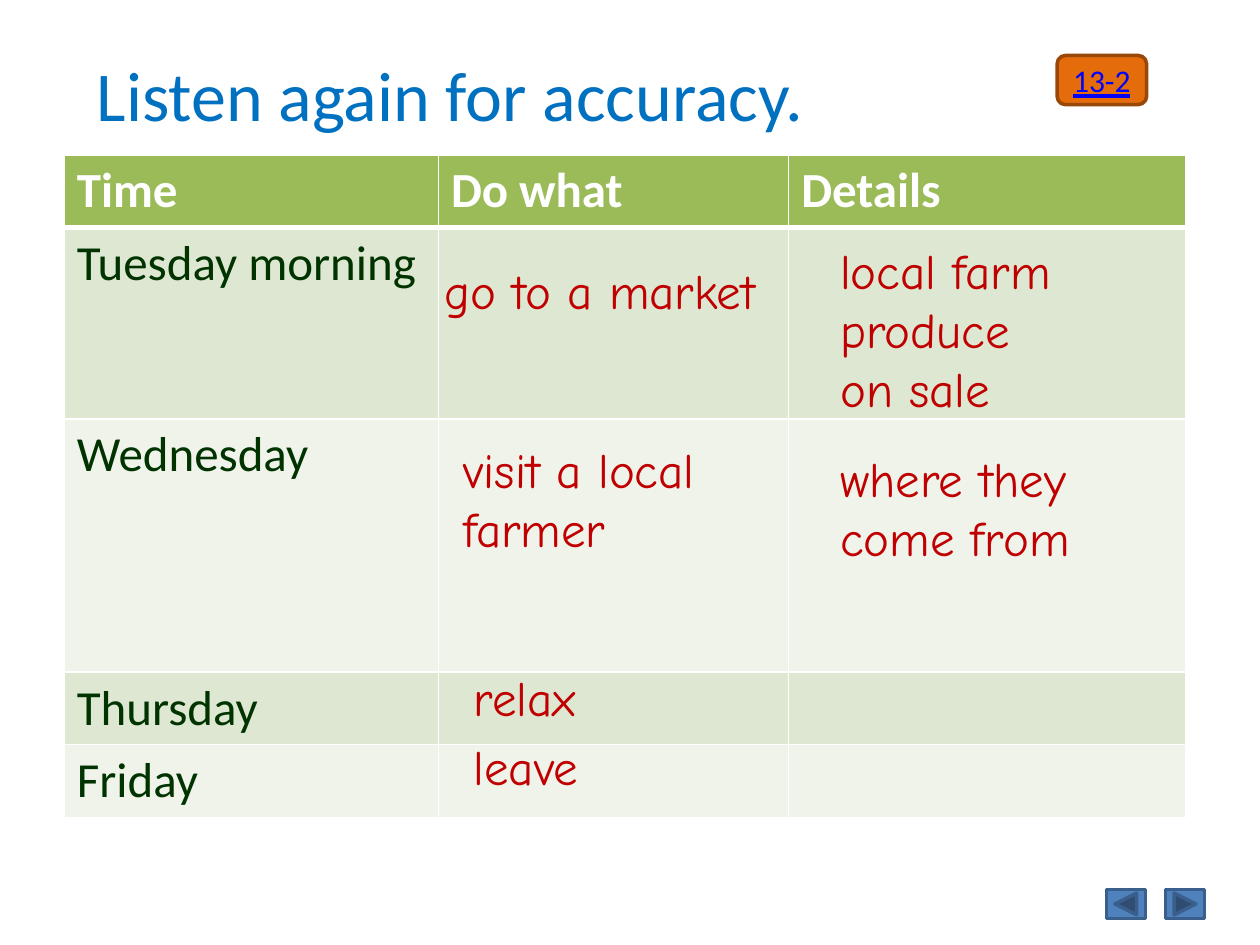
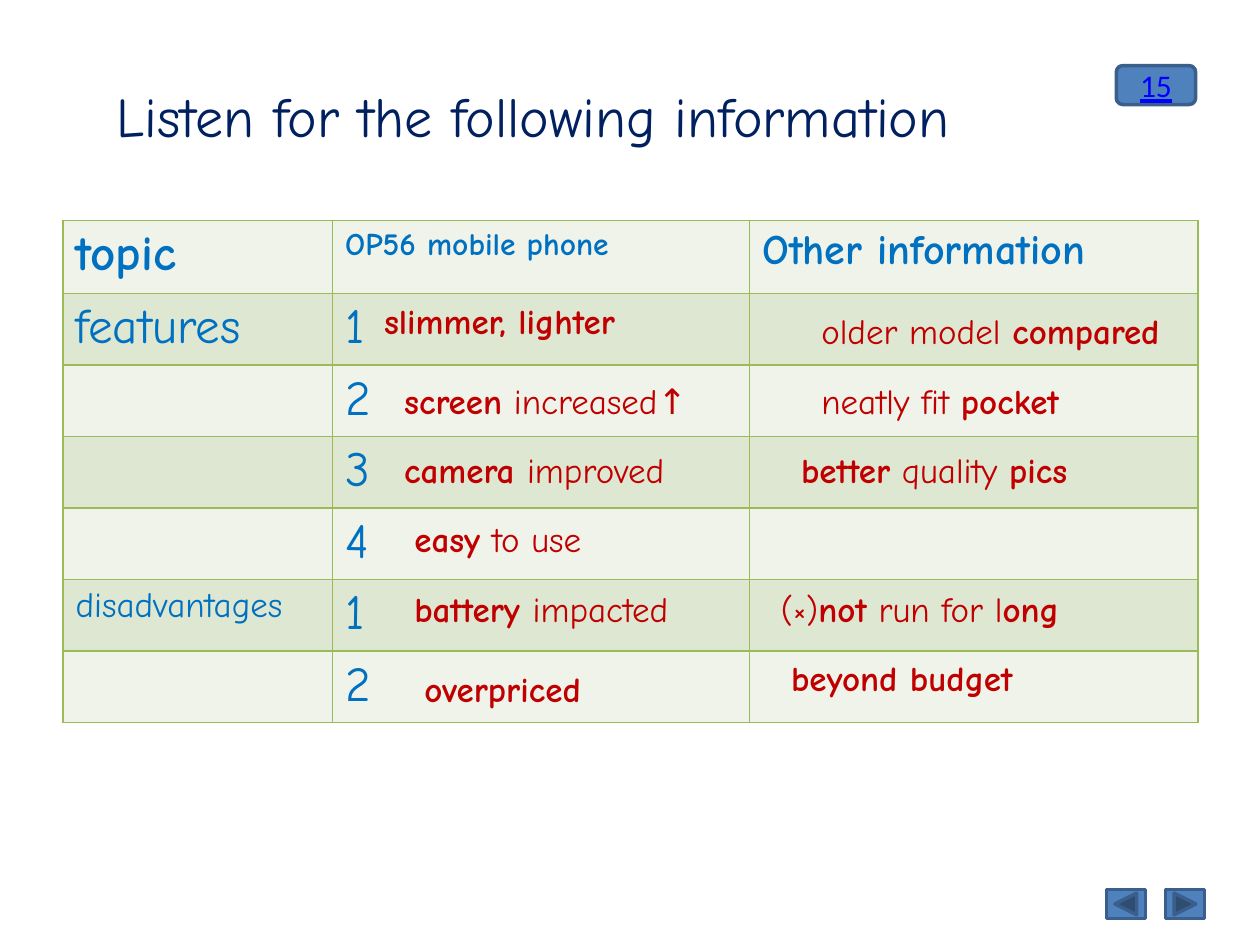
from dataclasses import dataclass
from itertools import accumulate

from lxml import etree
from pptx import Presentation
from pptx.dml.color import RGBColor
from pptx.enum.shapes import MSO_SHAPE
from pptx.enum.text import MSO_ANCHOR, PP_ALIGN
from pptx.oxml.ns import qn
from pptx.util import Inches, Pt

ROUNDED = MSO_SHAPE.ROUNDED_RECTANGLE
BACK = MSO_SHAPE.ACTION_BUTTON_BACK_OR_PREVIOUS
FORWARD = MSO_SHAPE.ACTION_BUTTON_FORWARD_OR_NEXT
CENTER = PP_ALIGN.CENTER
MIDDLE = MSO_ANCHOR.MIDDLE

# The slide is a grid of 100 columns by 75 rows; all lengths are in grid units.
COLUMNS, ROWS = 100, 75
UNIT = Inches(0.1)

PRINT_FONT, HAND_FONT = "Calibri", "Comic Neue"
WHITE, GREEN, BAND_DARK, BAND_LIGHT = "FFFFFF", "9BBB59", "DEE7D1", "EFF3EA"
DARK_GREEN, BRIGHT_BLUE, NAVY = "003300", "0070C0", "002060"
ANSWER_RED, LINK_BLUE = "C00000", "0000FF"
BUTTON_BLUE, BUTTON_EDGE = "4F81BD", "3A5F8C"
ORANGE, BROWN = "E46C0A", "984807"


@dataclass
class TextStyle:
    font: str
    size: float
    color: str
    bold: bool = False


@dataclass
class TableStyle:
    header: TextStyle
    body: TextStyle
    fills: tuple  # header, odd rows, even rows
    border: str
    header_rule: float


@dataclass
class Answer:
    """Handwritten answer, offset from the corner of a table cell; *stars* mark bold."""
    row: int
    column: int
    text: str
    right: float
    down: float = 0.8
    width: float = 27


def rgb(hex_color):
    return RGBColor.from_string(hex_color)


def grid(*lengths):
    return [round(length * UNIT) for length in lengths]


def style_paragraph(paragraph, style):
    font = paragraph.font
    font.name, font.size, font.bold = style.font, Pt(style.size), style.bold
    font.color.rgb = rgb(style.color)


def write_text(frame, text, style):
    """Write one paragraph a line, with the parts between stars in bold."""
    for number, line in enumerate(text.split("\n")):
        paragraph = frame.add_paragraph() if number else frame.paragraphs[0]
        for index, part in enumerate(line.split("*")):
            if part:
                run = paragraph.add_run()
                run.text = part
                if index % 2:
                    run.font.bold = True
        style_paragraph(paragraph, style)


def add_text(slide, box, text, style):
    frame = slide.shapes.add_textbox(*grid(*box)).text_frame
    frame.word_wrap = True
    write_text(frame, text, style)


def add_button(slide, kind, box, fill=BUTTON_BLUE, edge=BUTTON_EDGE):
    button = slide.shapes.add_shape(kind, *grid(*box))
    button.shadow.inherit = False
    button.fill.solid()
    button.fill.fore_color.rgb = rgb(fill)
    button.line.color.rgb = rgb(edge)
    button.line.width = Pt(2)
    return button


def add_track_badge(slide, box, text, **colors):
    badge = add_button(slide, ROUNDED, box, **colors)
    frame = badge.text_frame
    frame.vertical_anchor = MIDDLE
    write_text(frame, text, TextStyle(PRINT_FONT, 18, LINK_BLUE))
    frame.paragraphs[0].alignment = CENTER
    frame.paragraphs[0].runs[0].font.underline = True


def add_navigation(slide):
    width, height, step = 3.1, 2.3, 4.7
    left, top = COLUMNS - 12.2, ROWS - 4.4
    for index, kind in enumerate((BACK, FORWARD)):
        add_button(slide, kind, (left + index * step, top, width, height))


def set_borders(cell, color, top=1, bottom=1):
    properties = cell._tc.get_or_add_tcPr()
    for side, width in (("L", 1), ("R", 1), ("T", top), ("B", bottom)):
        line = etree.SubElement(properties, qn(f"a:ln{side}"), w=str(Pt(width)))
        fill = etree.SubElement(line, qn("a:solidFill"))
        etree.SubElement(fill, qn("a:srgbClr"), val=color)


def add_grid_table(slide, corner, widths, heights, rows, style, sizes):
    """Add a banded table; sizes maps a (row, column) to its own text size."""
    box = (*corner, sum(widths), sum(heights))
    table = slide.shapes.add_table(len(heights), len(widths), *grid(*box)).table
    table.first_row = table.horz_banding = False
    for column, width in zip(table.columns, grid(*widths)):
        column.width = width
    for row, height in zip(table.rows, grid(*heights)):
        row.height = height
    for row, texts in enumerate(rows):
        fill = style.fills[0 if row == 0 else 2 - row % 2]
        base = style.body if row else style.header
        for column, text in enumerate(texts):
            cell = table.cell(row, column)
            set_borders(cell, style.border,
                        top=style.header_rule if row == 1 else 1,
                        bottom=style.header_rule if row == 0 else 1)
            cell.fill.solid()
            cell.fill.fore_color.rgb = rgb(fill)
            if text:
                size = sizes.get((row, column), base.size)
                write_text(cell.text_frame, text,
                           TextStyle(base.font, size, base.color, base.bold))


def add_answers(slide, corner, widths, heights, answers, size):
    """Place each answer relative to the corner of its table cell."""
    lefts = list(accumulate(widths, initial=corner[0]))
    tops = list(accumulate(heights, initial=corner[1]))
    style = TextStyle(HAND_FONT, size, ANSWER_RED)
    for answer in answers:
        line_height = size / 4.5
        box = (lefts[answer.column] + answer.right, tops[answer.row] + answer.down,
               answer.width, line_height)
        add_text(slide, box, answer.text, style)


def add_listening_slide(presentation, title, title_box, title_style, corner, widths,
                        heights, rows, table_style, answers, answer_size, sizes=None):
    slide = presentation.slides.add_slide(presentation.slide_layouts[6])
    add_grid_table(slide, corner, widths, heights, rows, table_style, sizes or {})
    add_answers(slide, corner, widths, heights, answers, answer_size)
    add_text(slide, title_box, title, title_style)
    add_navigation(slide)
    return slide


def add_schedule_slide(presentation):
    slide = add_listening_slide(
        presentation,
        title="Listen again for accuracy.",
        title_box=(6.7, 3.6, 74.8, 7.7),
        title_style=TextStyle(PRINT_FONT, 40, BRIGHT_BLUE),
        corner=(5.1, 12.3),
        widths=(29.7, 27.8, 31.5),
        heights=(5.7, 15.2, 20.1, 5.7, 5.7),
        rows=[
            ("Time", "Do what", "Details"),
            ("Tuesday morning", "", ""),
            ("Wednesday", "", ""),
            ("Thursday", "", ""),
            ("Friday", "", ""),
        ],
        table_style=TableStyle(
            header=TextStyle(PRINT_FONT, 28, WHITE, bold=True),
            body=TextStyle(PRINT_FONT, 28, DARK_GREEN),
            fills=(GREEN, BAND_DARK, BAND_LIGHT), border=WHITE, header_rule=3),
        answers=[
            Answer(1, 1, "go to a market", -0.5, 2.2, 28.7),
            Answer(2, 1, "visit a local farmer", 1, 1.2, 25),
            Answer(3, 1, "relax", 1.8, -0.8, 11.5),
            Answer(4, 1, "leave", 1.8, -1, 11.5),
            Answer(1, 2, "local farm produce\non sale", 3.1, 0.6, 25),
            Answer(2, 2, "where they come from", 3.1, 1.9, 25),
        ],
        answer_size=28)
    add_track_badge(slide, (83.9, 4.4, 7.1, 3.9), "13-2", fill=ORANGE, edge=BROWN)


def add_phone_slide(presentation):
    slide = add_listening_slide(
        presentation,
        title="Listen for the following information",
        title_box=(8.3, 6, 87.4, 6.4),
        title_style=TextStyle(HAND_FONT, 32, NAVY),
        corner=(5, 17.5),
        widths=(21.4, 33.1, 35.6),
        heights=(5.8, *[5.5] * 6),
        rows=[
            ("topic", "OP56 mobile phone", "Other information"),
            ("features", "1", ""),
            ("", "2", ""),
            ("", "3", ""),
            ("", "4", ""),
            ("disadvantages", "1", ""),
            ("", "2", ""),
        ],
        table_style=TableStyle(
            header=TextStyle(HAND_FONT, 28, BRIGHT_BLUE, bold=True),
            body=TextStyle(HAND_FONT, 28, BRIGHT_BLUE),
            fills=(BAND_LIGHT, BAND_DARK, BAND_LIGHT), border=GREEN, header_rule=1),
        sizes={(0, 1): 18, (0, 2): 24, (5, 0): 20},
        answers=[
            Answer(1, 1, "*slimmer, lighter*", 3.1, 0),
            Answer(2, 1, "*screen* increased↑", 4.7),
            Answer(3, 1, "*camera *improved", 4.7),
            Answer(4, 1, "*easy* to use", 5.5),
            Answer(5, 1, "*battery *impacted", 5.5),
            Answer(6, 1, "*overpriced*", 6.3, 1.7),
            Answer(1, 2, "older model *compared*", 4.7, width=32.3),
            Answer(2, 2, "neatly fit *pocket*", 4.7),
            Answer(3, 2, "*better* quality *pics*", 3.1, width=30),
            Answer(5, 2, "(×)*not* run for l*ong*", 1.5, width=34.6),
            Answer(6, 2, "*beyond budget*", 2.3),
        ],
        answer_size=20)
    add_track_badge(slide, (88.6, 5.2, 6.3, 3.1), "15")


def main():
    presentation = Presentation()
    presentation.slide_width, presentation.slide_height = grid(COLUMNS, ROWS)
    add_schedule_slide(presentation)
    add_phone_slide(presentation)
    presentation.save("out.pptx")


if __name__ == "__main__":
    main()
